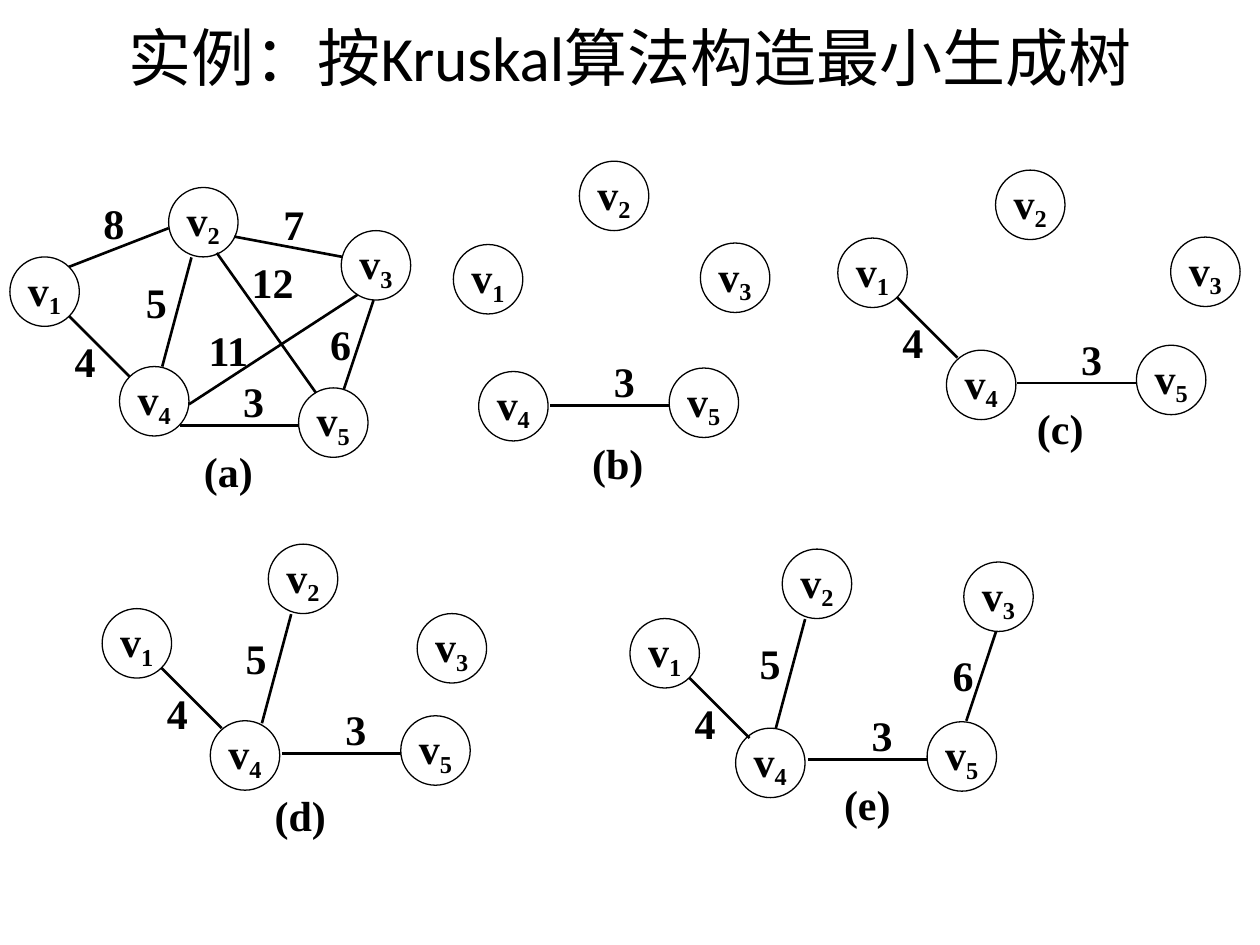
from dataclasses import dataclass

from lxml import etree
from pptx import Presentation
from pptx.dml.color import RGBColor
from pptx.enum.shapes import MSO_CONNECTOR, MSO_SHAPE
from pptx.enum.text import MSO_ANCHOR, PP_ALIGN
from pptx.oxml.ns import qn
from pptx.shapes.group import GroupShape
from pptx.slide import Slide
from pptx.text.text import TextFrame
from pptx.util import Cm, Pt

STRAIGHT = MSO_CONNECTOR.STRAIGHT
OVAL = MSO_SHAPE.OVAL
MIDDLE = MSO_ANCHOR.MIDDLE
CENTER = PP_ALIGN.CENTER

INK = "000000"
LABEL_FONT = "Times New Roman"
TITLE_FONT = "Calibri"
VERTEX_SIZE = 1.4
WEIGHT_SIZE = 0.99
CAPTION_WIDTH = 1.19

Point = tuple[float, float]


@dataclass(frozen=True)
class Edge:
    """An edge whose points, in cm, are offsets from its anchor vertex."""
    weight: int
    anchor: int
    start: Point
    end: Point
    label: Point


@dataclass(frozen=True)
class Graph:
    """One step: top-left corners of v1 to v5 in cm, and the edges chosen."""
    caption: str
    caption_at: Point
    vertices: tuple[Point, ...]
    weights: tuple[int, ...]


EDGES = {edge.weight: edge for edge in (
    Edge(3, 5, (-2.4, 0.76), (0, 0.76), (-1.4, -0.23)),
    Edge(4, 1, (1.19, 1.19), (2.41, 2.41), (1.02, 1.6)),
    Edge(5, 2, (0.46, 1.41), (-0.13, 3.61), (-0.74, 1.8)),
    Edge(6, 3, (0.65, 1.4), (0.05, 3.2), (-0.51, 1.78)),
    Edge(7, 2, (1.32, 0.99), (3.51, 1.4), (2.03, 0.23)),
    Edge(8, 1, (1.19, 0.2), (3.2, -0.58), (1.6, -1.19)),
    Edge(11, 4, (1.4, 0.76), (4.8, -1.45), (1.7, -0.84)),
    Edge(12, 2, (0.97, 1.32), (2.97, 4.14), (1.6, 1.4)),
)}

GRAPHS = (
    Graph("(a)", (4.01, 8.99),
          ((0.2, 5.18), (3.4, 3.78), (6.88, 4.65), (2.41, 7.39), (6.02, 7.82)),
          tuple(EDGES)),
    Graph("(b)", (11.86, 8.84),
          ((9.14, 4.93), (11.68, 3.25), (14.12, 4.9), (9.65, 7.49), (13.49, 7.42)),
          (3,)),
    Graph("(c)", (20.78, 8.13),
          ((16.89, 4.8), (20.07, 3.43), (23.6, 4.78), (19.08, 7.06), (22.91, 6.96)),
          (3, 4)),
    Graph("(d)", (5.46, 15.93),
          ((2.06, 12.27), (5.41, 10.97), (8.41, 12.37), (4.24, 14.53), (8.08, 14.43)),
          (3, 4, 5)),
    Graph("(e)", (16.89, 15.7),
          ((12.7, 12.47), (15.77, 11.07), (19.43, 11.33), (14.83, 14.68), (18.69, 14.55)),
          (3, 4, 5, 6)),
)


def color(value: str) -> RGBColor:
    return RGBColor.from_string(value)


def shift(origin: Point, offset: Point) -> Point:
    return origin[0] + offset[0], origin[1] + offset[1]


def write_label(frame: TextFrame, text: str, subscript: str = "") -> None:
    frame.word_wrap = False
    frame.vertical_anchor = MIDDLE
    frame.margin_left = frame.margin_right = 0
    frame.margin_top = frame.margin_bottom = 0
    para = frame.paragraphs[0]
    para.alignment = CENTER
    para.text = text
    if subscript:
        para.add_run().text = subscript
        para.runs[-1].font._element.set("baseline", "-20000")
    for span in para.runs:
        span.font.name = LABEL_FONT
        span.font.size = Pt(24)
        span.font.bold = True
        span.font.color.rgb = color(INK)


def add_label(group: GroupShape, text: str, at: Point, width: float) -> None:
    box = group.shapes.add_textbox(Cm(at[0]), Cm(at[1]), Cm(width), Cm(WEIGHT_SIZE))
    write_label(box.text_frame, text)


def add_vertex(group: GroupShape, number: int, at: Point) -> None:
    circle = group.shapes.add_shape(
        OVAL, Cm(at[0]), Cm(at[1]), Cm(VERTEX_SIZE), Cm(VERTEX_SIZE))
    circle.shadow.inherit = False
    circle.fill.background()
    circle.line.color.rgb = color(INK)
    circle.line.width = Pt(0.75)
    write_label(circle.text_frame, "v", str(number))


def add_edge(group: GroupShape, edge: Edge, anchor: Point) -> None:
    start, end = shift(anchor, edge.start), shift(anchor, edge.end)
    line = group.shapes.add_connector(
        STRAIGHT, Cm(start[0]), Cm(start[1]), Cm(end[0]), Cm(end[1]))
    line.line.color.rgb = color(INK)
    line.line.width = Pt(1.5)
    etree.SubElement(line._element.spPr, qn("a:effectLst"))
    add_label(group, str(edge.weight), shift(anchor, edge.label), WEIGHT_SIZE)


def add_graph(page: Slide, graph: Graph) -> None:
    group = page.shapes.add_group_shape()
    for weight in graph.weights:
        edge = EDGES[weight]
        add_edge(group, edge, graph.vertices[edge.anchor - 1])
    for number, at in enumerate(graph.vertices, start=1):
        add_vertex(group, number, at)
    add_label(group, graph.caption, graph.caption_at, CAPTION_WIDTH)


def set_title(page: Slide, text: str) -> None:
    title = page.shapes.title
    title.left, title.top = Cm(1.27), Cm(0.13)
    title.width, title.height = Cm(22.86), Cm(2.01)
    title.text_frame.text = text
    title.text_frame.vertical_anchor = MIDDLE
    para = title.text_frame.paragraphs[0]
    para.alignment = CENTER
    font = para.runs[0].font
    font.name = TITLE_FONT
    font.size = Pt(36)
    font.color.rgb = color(INK)


def main() -> None:
    deck = Presentation()
    deck.slide_width, deck.slide_height = Cm(25.4), Cm(19.05)
    page = deck.slides.add_slide(deck.slide_layouts.get_by_name("Title Only"))
    set_title(page, "实例：按Kruskal算法构造最小生成树")
    for graph in GRAPHS:
        add_graph(page, graph)
    deck.save("out.pptx")


if __name__ == "__main__":
    main()
